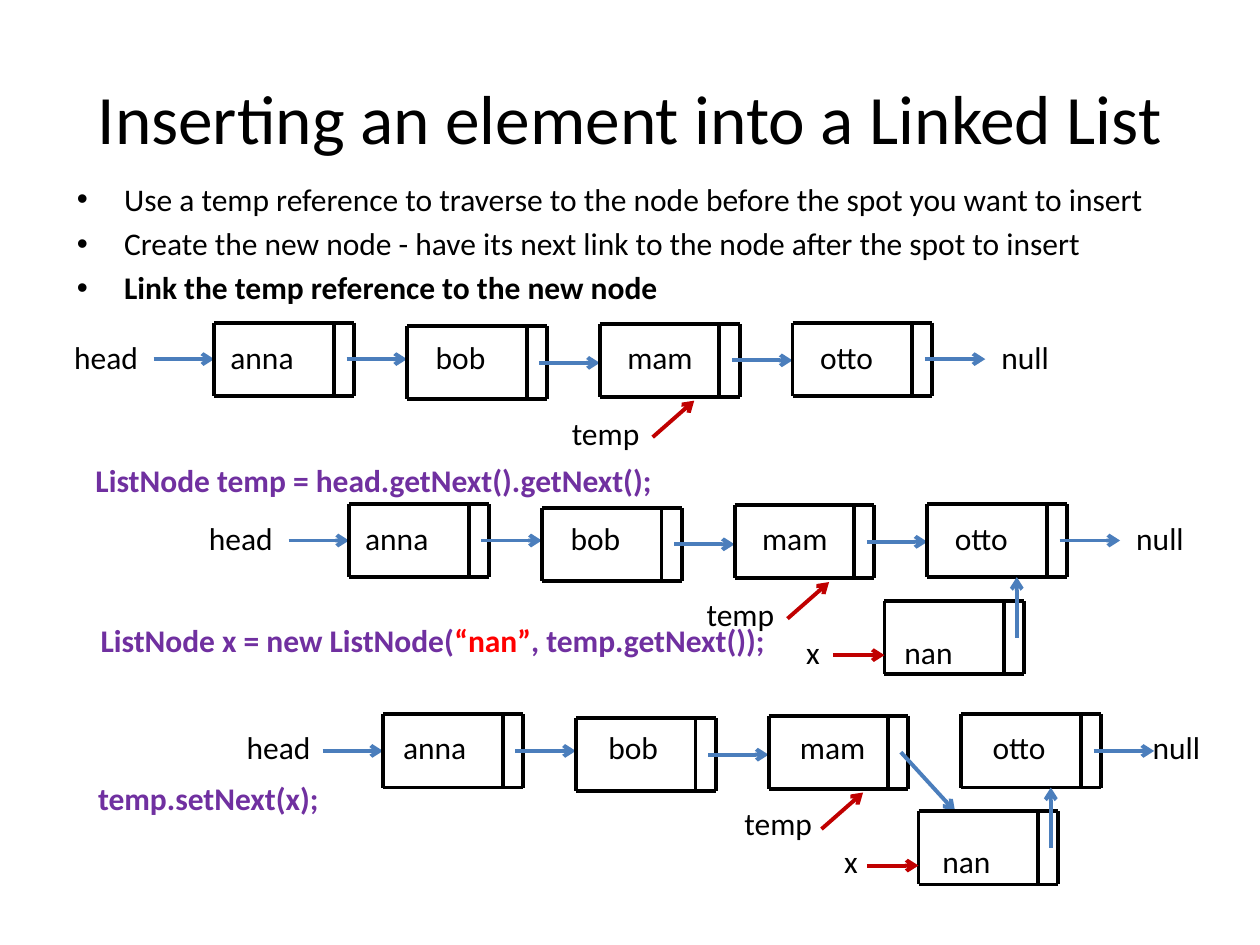
from lxml.etree import SubElement
from pptx import Presentation
from pptx.dml.color import RGBColor
from pptx.enum.shapes import MSO_CONNECTOR
from pptx.enum.text import MSO_ANCHOR, MSO_AUTO_SIZE, PP_ALIGN
from pptx.oxml.ns import qn
from pptx.util import Inches, Pt

BLACK = RGBColor(0x00, 0x00, 0x00)
BLUE = RGBColor(0x4B, 0x7E, 0xBC)
DARK_RED = RGBColor(0xC0, 0x00, 0x00)
RED = RGBColor(0xFF, 0x00, 0x00)
PURPLE = RGBColor(0x70, 0x30, 0xA0)

# Content
TITLE = "Inserting an element into a Linked List"
STEPS = [
    ("Use a temp reference to traverse to the node before the spot you want to insert", False),
    ("Create the new node - have its next link to the node after the spot to insert", False),
    ("Link the temp reference to the new node", True),
]
NAMES = ["head", "anna", "bob", "mam", "otto", "null"]
# Each stage: first node corner, label box, offset of "null", new node drawn, mam linked to it
STAGES = [
    dict(corner=(1.7, 2.56), labels=(0.49, 2.63, 8.36, 1.01), null_tab=7.36, new=False, linked=False),
    dict(corner=(2.77, 4.0), labels=(1.56, 4.07, 8.36, 1.31), null_tab=7.36, new=True, linked=False),
    dict(corner=(3.04, 5.67), labels=(1.86, 5.73, 8.48, 1.31), null_tab=7.19, new=True, linked=True),
]
CODE = [
    ((0.66, 3.61, 4.66, 0.4), [("ListNode temp = head.getNext().getNext();", PURPLE)]),
    ((0.7, 4.88, 5.5, 0.4), [("ListNode x = new ListNode(", PURPLE), ("“nan”", RED),
                             (", temp.getNext());", PURPLE)]),
    ((0.68, 6.13, 1.97, 0.4), [("temp.setNext(x);", PURPLE)]),
]

# Geometry of a node and of the label columns
PITCH = 1.53
NODE_W, NODE_H, DIVIDER = 1.11, 0.58, 0.95
MIDDLE, NEXT_X = 0.29, 1.05
NODE_DROPS = [0, 0.03, 0.01, 0]
NEW_NODE = (4.25, 0.77)
NAME_TABS = [1.24, 2.87, 4.39, 5.92]
TEMP_TAB, X_TABS = 3.95, [4.74, 5.52]

prs = Presentation()
prs.slide_width, prs.slide_height = Inches(10), Inches(7.5)
slide = prs.slides.add_slide(prs.slide_layouts[1])


def write(paragraph, text, size=18, color=BLACK, bold=False):
    run = paragraph.add_run()
    run.text = text
    run.font.name = "Calibri"
    run.font.size = Pt(size)
    run.font.bold = bold
    run.font.color.rgb = color


def place(shape, box):
    shape.left, shape.top, shape.width, shape.height = map(Inches, box)


def line(x1, y1, x2, y2, color=BLACK, arrow=False):
    connector = slide.shapes.add_connector(
        MSO_CONNECTOR.STRAIGHT, *map(Inches, (x1, y1, x2, y2)))
    connector.line.color.rgb = color
    connector.line.width = Pt(2.25)
    if arrow:
        SubElement(connector.line._get_or_add_ln(), qn("a:tailEnd"), type="arrow")
    SubElement(connector._element.spPr, qn("a:effectLst"))


def node(x, y):
    for edge_y in (y, y + NODE_H):
        line(x, edge_y, x + NODE_W, edge_y)
    for edge_x in (x, x + DIVIDER, x + NODE_W):
        line(edge_x, y, edge_x, y + NODE_H)


def text_box(box, wrap):
    shape = slide.shapes.add_textbox(*map(Inches, box))
    shape.text_frame.word_wrap = wrap
    return shape.text_frame


def tabbed(paragraph, words, tabs):
    tab_list = SubElement(paragraph._p.get_or_add_pPr(), qn("a:tabLst"))
    for tab in tabs:
        SubElement(tab_list, qn("a:tab"), pos=str(Inches(tab)), algn="l")
    write(paragraph, "\t".join(words))


def draw_stage(corner, labels, null_tab, new, linked):
    left, top = corner
    line(left - 0.48, top + MIDDLE, left, top + MIDDLE, BLUE, arrow=True)
    for i, drop in enumerate(NODE_DROPS):
        x, y = left + i * PITCH, top + drop
        node(x, y)
        target = (x + 1.48, y + 0.76) if linked and i == 2 else (x + PITCH, y + MIDDLE)
        line(x + NEXT_X, y + MIDDLE, *target, BLUE, arrow=True)
    line(left + 3.48, top + 0.91, left + 3.81, top + 0.62, DARK_RED, arrow=True)
    if new:
        x, y = left + NEW_NODE[0], top + NEW_NODE[1]
        node(x, y)
        line(x + NEXT_X, y + MIDDLE, x + NEXT_X, top + NODE_H, BLUE, arrow=True)
        line(x - 0.41, y + 0.43, x, y + 0.43, DARK_RED, arrow=True)

    # Words sit on tab stops; temp is one line lower
    frame = text_box(labels, wrap=True)
    tabbed(frame.paragraphs[0], NAMES, NAME_TABS + [null_tab])
    temp_row = frame.add_paragraph()
    temp_row.space_before = Pt(22)
    tabbed(temp_row, ["", "temp"], [TEMP_TAB])
    if new:
        tabbed(frame.add_paragraph(), ["", "x", "nan"], X_TABS)


# Title and steps
title, body = slide.placeholders[0], slide.placeholders[1]
place(title, (0.5, 0.3, 9, 1.25))
title.text_frame.vertical_anchor = MSO_ANCHOR.MIDDLE
title.text_frame.paragraphs[0].alignment = PP_ALIGN.CENTER
write(title.text_frame.paragraphs[0], TITLE, size=39.6)

place(body, (0.51, 1.38, 9, 1.33))
for frame in (title.text_frame, body.text_frame):
    frame.auto_size = MSO_AUTO_SIZE.NONE
for i, (step, bold) in enumerate(STEPS):
    paragraph = body.text_frame.add_paragraph() if i else body.text_frame.paragraphs[0]
    write(paragraph, step, bold=bold)

# Lists at each stage
for stage in STAGES:
    draw_stage(**stage)

# Code for each stage
for box, parts in CODE:
    statement = text_box(box, wrap=False).paragraphs[0]
    for part, color in parts:
        write(statement, part, color=color, bold=True)

prs.save("out.pptx")
